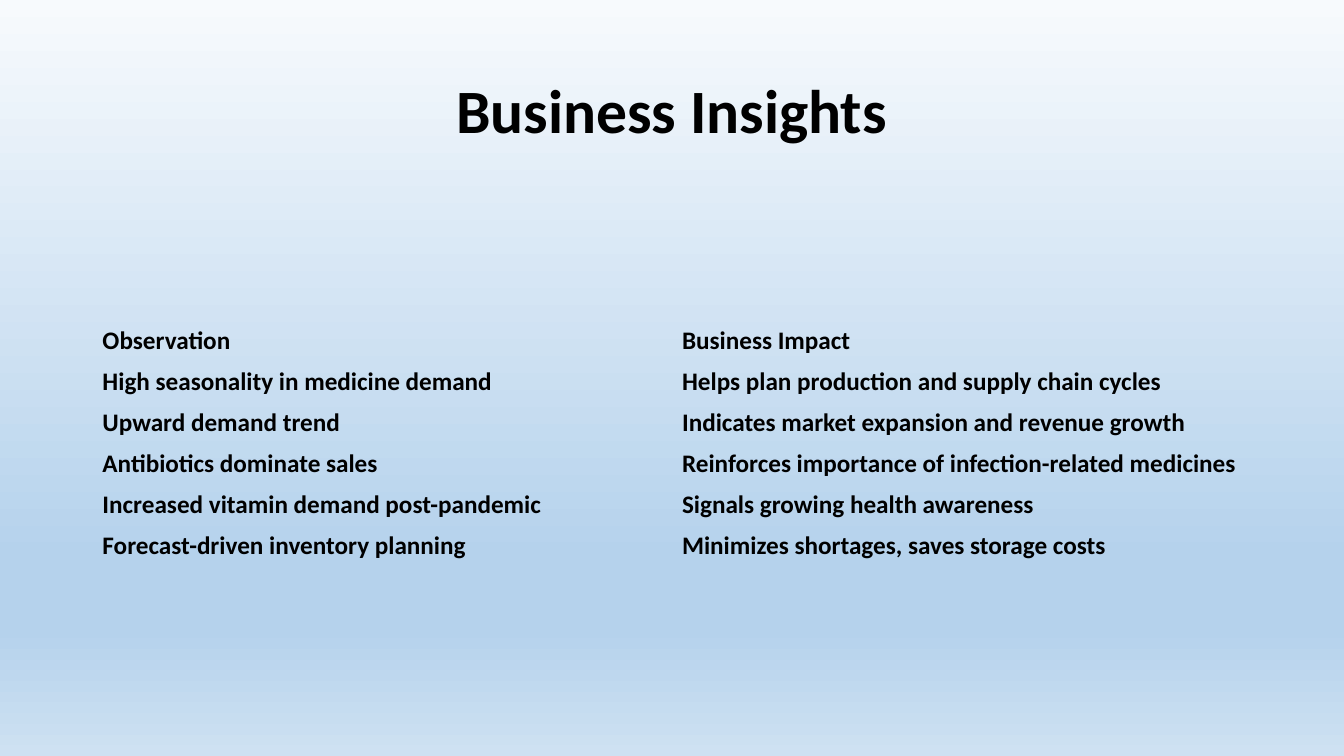
from typing import NamedTuple

from lxml.etree import SubElement
from pptx import Presentation
from pptx.dml.color import RGBColor
from pptx.enum.text import MSO_ANCHOR, MSO_AUTO_SIZE, PP_ALIGN
from pptx.oxml.ns import qn
from pptx.slide import Slide
from pptx.text.text import _Paragraph
from pptx.util import Pt

FONT = "Calibri"
INK = "000000"
NO_STYLE_NO_GRID = "{2D5ABB26-0587-4C30-8999-92F81FD0307C}"
LEFT, CONTENT_WIDTH = 66, 828
TITLE_TOP, TITLE_HEIGHT = 28.8, 104.4
TABLE_TOP, ROW_HEIGHT = 229, 29.17


class GradientStop(NamedTuple):
    percent: int
    color: str


class Insight(NamedTuple):
    observation: str
    impact: str


SKY = [
    GradientStop(0, "F7FAFD"),
    GradientStop(74, "B5D2EC"),
    GradientStop(83, "B5D2EC"),
    GradientStop(100, "CEE1F2"),
]

INSIGHTS = [
    Insight("Observation", "Business Impact"),
    Insight("High seasonality in medicine demand",
            "Helps plan production and supply chain cycles"),
    Insight("Upward demand trend",
            "Indicates market expansion and revenue growth"),
    Insight("Antibiotics dominate sales",
            "Reinforces importance of infection-related medicines"),
    Insight("Increased vitamin demand post-pandemic",
            "Signals growing health awareness"),
    Insight("Forecast-driven inventory planning",
            "Minimizes shortages, saves storage costs"),
]


def rgb(color: str) -> RGBColor:
    return RGBColor.from_string(color)


def add_bold_run(paragraph: _Paragraph, wording: str, size: float) -> None:
    run = paragraph.add_run()
    run.text = wording
    run.font.name = FONT
    run.font.size = Pt(size)
    run.font.bold = True
    run.font.color.rgb = rgb(INK)


def paint_background(slide: Slide, stops: list[GradientStop]) -> None:
    """Fill the background with a gradient running from top to bottom."""
    fill = slide.background.fill
    fill.gradient()
    fill.gradient_angle = 270
    stop_list = slide.element.find(f".//{qn('a:gsLst')}")
    stop_list.clear()
    for stop in stops:
        entry = SubElement(stop_list, qn("a:gs"), pos=str(stop.percent * 1000))
        SubElement(entry, qn("a:srgbClr"), val=stop.color)


def write_title(slide: Slide, wording: str) -> None:
    title = slide.shapes.title
    title.left, title.top = Pt(LEFT), Pt(TITLE_TOP)
    title.width, title.height = Pt(CONTENT_WIDTH), Pt(TITLE_HEIGHT)
    frame = title.text_frame
    frame.auto_size = MSO_AUTO_SIZE.NONE
    frame.word_wrap = True
    frame.vertical_anchor = MSO_ANCHOR.MIDDLE
    heading = frame.paragraphs[0]
    heading.alignment = PP_ALIGN.CENTER
    heading.line_spacing = 0.9
    add_bold_run(heading, wording, 44)


def add_insight_table(slide: Slide, insights: list[Insight]) -> None:
    table = slide.shapes.add_table(
        len(insights), len(Insight._fields), Pt(LEFT), Pt(TABLE_TOP),
        Pt(CONTENT_WIDTH), Pt(ROW_HEIGHT * len(insights)),
    ).table
    table.first_row = False
    table.horz_banding = False
    table._tbl.tblPr.find(qn("a:tableStyleId")).text = NO_STYLE_NO_GRID
    for row, insight in zip(table.rows, insights):
        row.height = Pt(ROW_HEIGHT)
        for cell, wording in zip(row.cells, insight):
            cell.fill.background()
            cell.vertical_anchor = MSO_ANCHOR.MIDDLE
            add_bold_run(cell.text_frame.paragraphs[0], wording, 18)


def main() -> None:
    deck = Presentation()
    deck.slide_width, deck.slide_height = Pt(960), Pt(540)
    slide = deck.slides.add_slide(deck.slide_layouts.get_by_name("Title Only"))
    paint_background(slide, SKY)
    write_title(slide, "Business Insights")
    add_insight_table(slide, INSIGHTS)
    deck.save("out.pptx")


if __name__ == "__main__":
    main()
